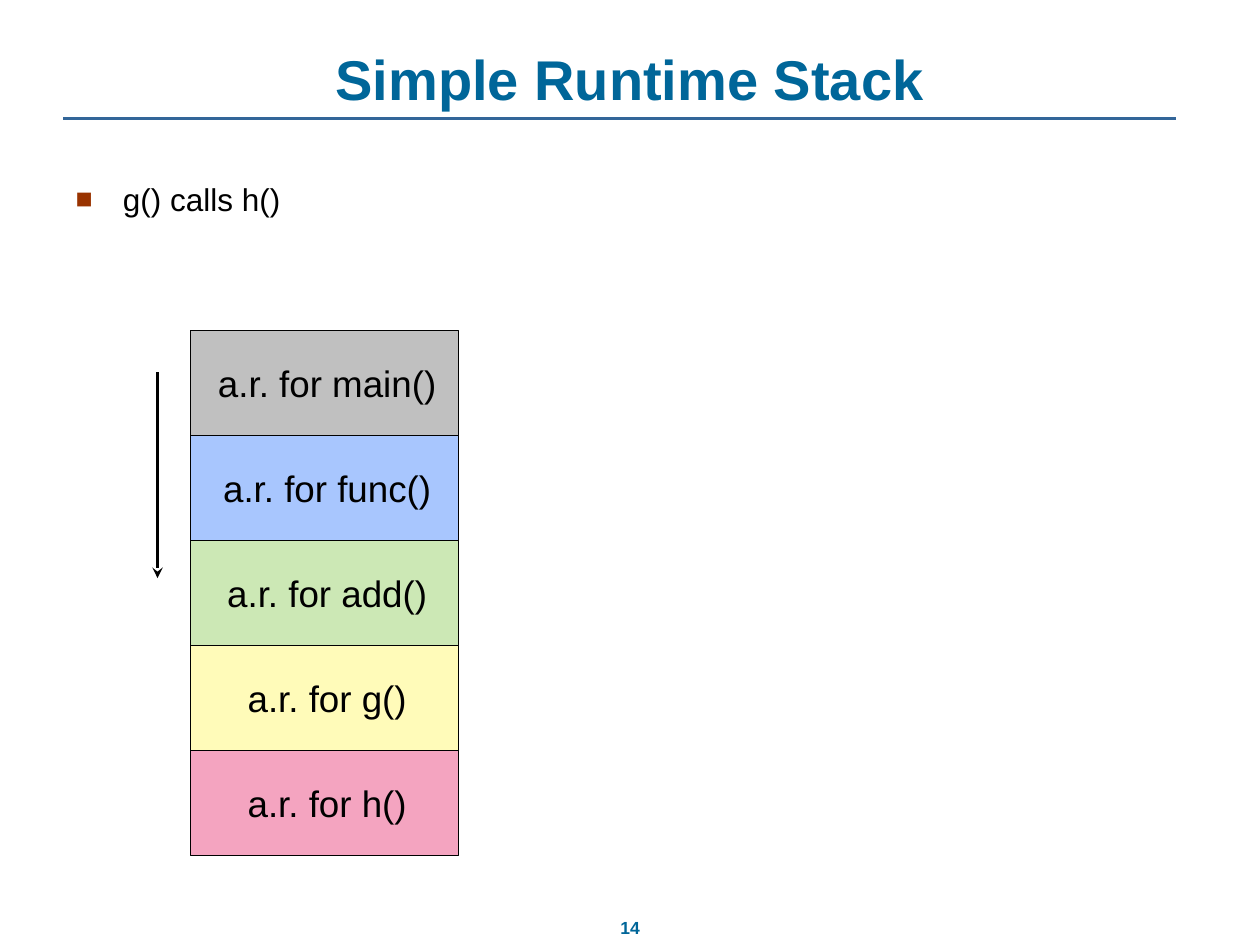
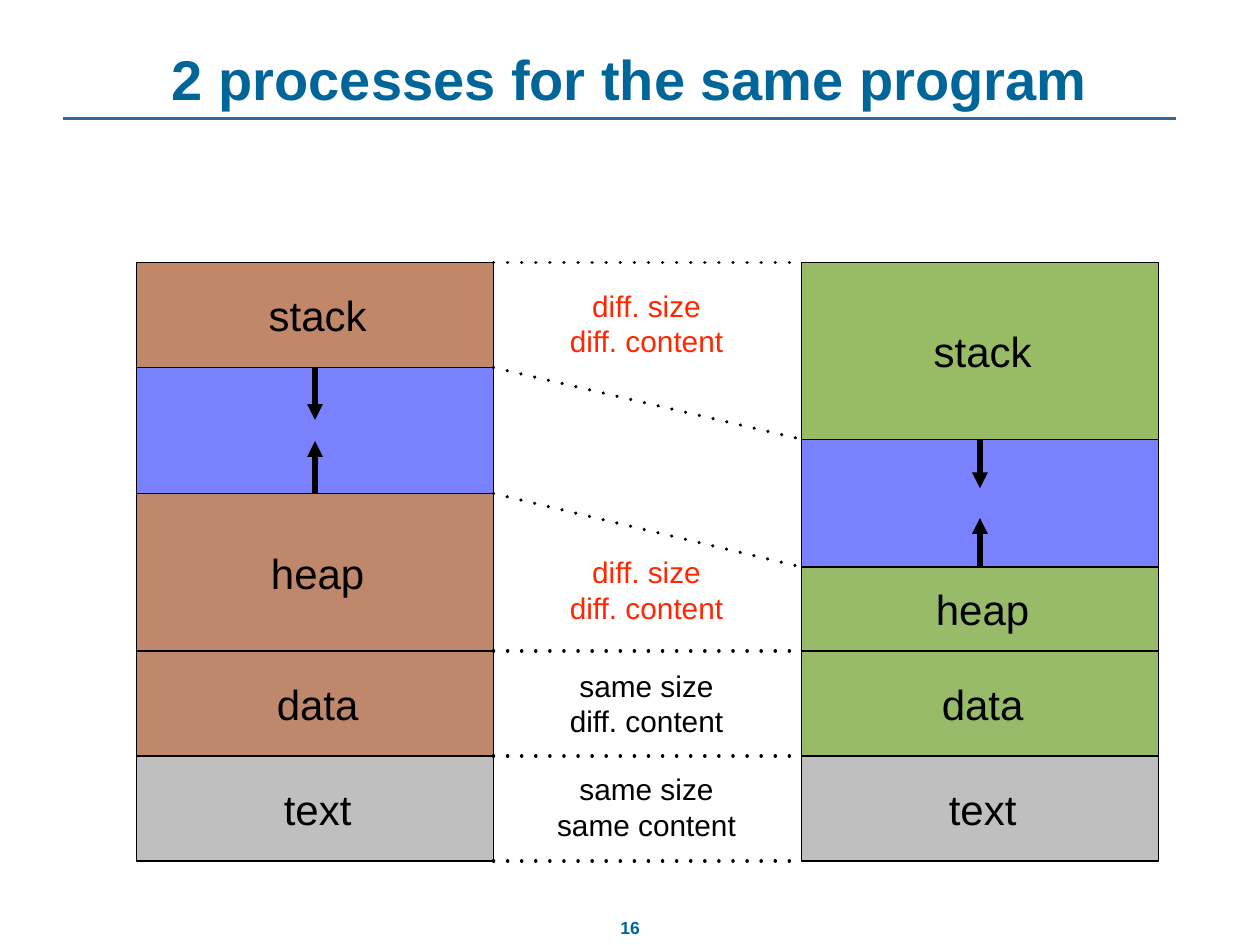
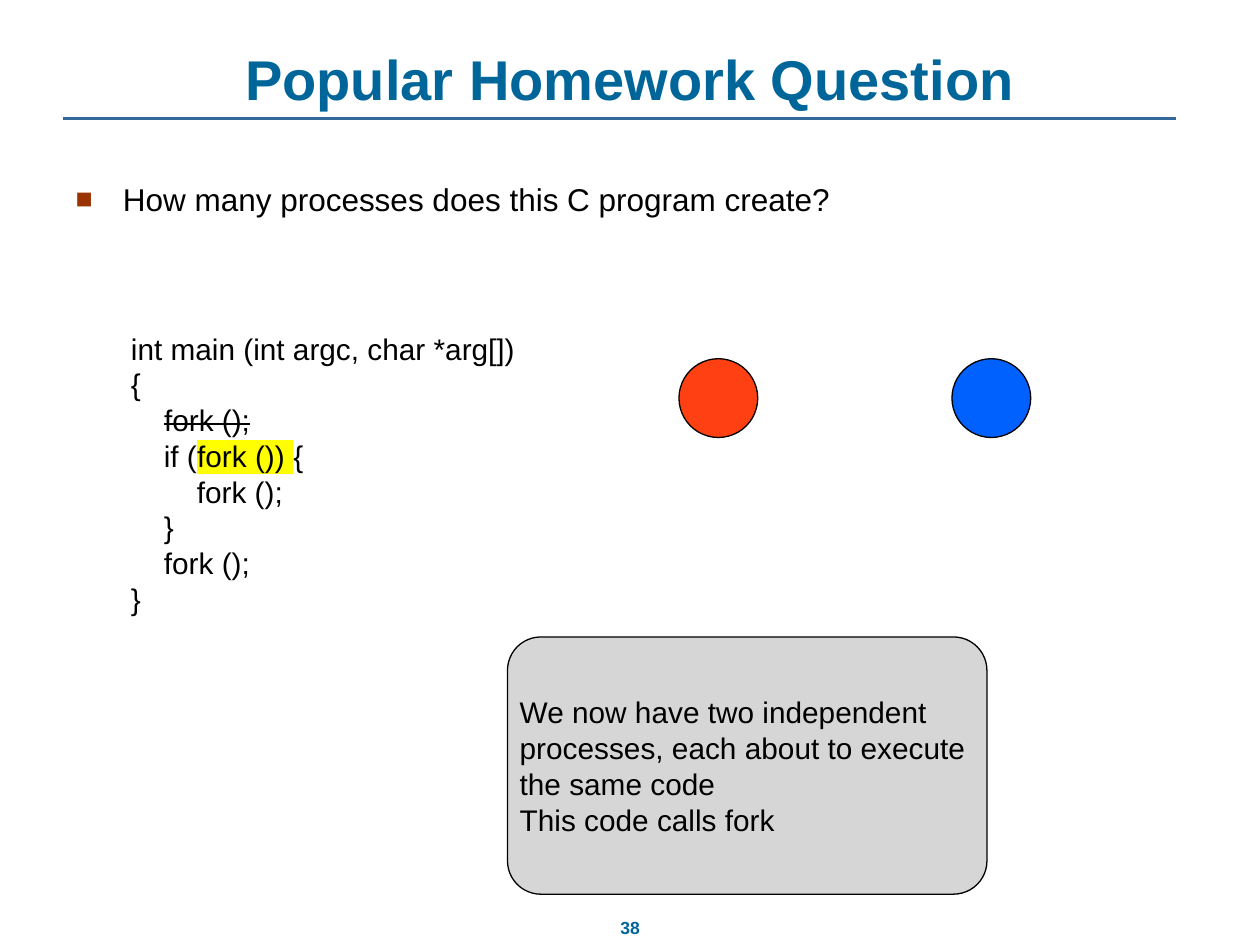
import pptx
import pptx.util
import pptx.dml.color
import pptx.enum.shapes
import pptx.enum.text
import pptx.oxml
import pptx.oxml.ns
import lxml.etree

Pt = pptx.util.Pt
RGB = pptx.dml.color.RGBColor
SHAPE = pptx.enum.shapes.MSO_SHAPE
ANCHOR = pptx.enum.text.MSO_ANCHOR
ALIGN = pptx.enum.text.PP_ALIGN
qn = pptx.oxml.ns.qn

# Colours
BLACK = RGB(0x00, 0x00, 0x00)
TITLE_BLUE = RGB(0x00, 0x66, 0x99)
RULE_BLUE = RGB(0x33, 0x66, 0x99)
BULLET_RED = RGB(0x99, 0x33, 0x00)
NOTE_RED = RGB(0xFF, 0x26, 0x00)
MARKER = RGB(0xFF, 0xFF, 0x00)
MAIN_GREY = RGB(0xC0, 0xC0, 0xC0)
FUNC_BLUE = RGB(0xA8, 0xC6, 0xFE)
ADD_GREEN = RGB(0xCC, 0xE8, 0xB5)
G_YELLOW = RGB(0xFF, 0xFB, 0xB9)
H_PINK = RGB(0xF4, 0xA4, 0xC0)
FREE_BLUE = RGB(0x7A, 0x81, 0xFF)
TEXT_GREY = RGB(0xBF, 0xBF, 0xBF)
STACK_BROWN = RGB(0xC1, 0x87, 0x69)
HEAP_BROWN = RGB(0xBF, 0x87, 0x6B)
STACK_GREEN = RGB(0x97, 0xBC, 0x65)
HEAP_GREEN = RGB(0x98, 0xBB, 0x69)
PROCESS_RED = RGB(0xFF, 0x40, 0x13)
PROCESS_BLUE = RGB(0x00, 0x61, 0xFF)
CALLOUT_GREY = RGB(0xD6, 0xD6, 0xD6)

MARGINS = dict(margin_left=Pt(4.3), margin_right=Pt(4.3),
               margin_top=Pt(4.3), margin_bottom=Pt(4.3))
TITLE_BOX = (36, 22.3, 648, 45.4)
BODY_BOX = (36, 99.4, 648, 356.4)
PAGE_BOX = (346.3, 520.6, 27.4, 19.4)


# Shared helpers
def apply(obj, values):
    for name, value in values.items():
        setattr(obj, name, value)


def pts(*lengths):
    return [Pt(v) for v in lengths]


def place(sp, box):
    apply(sp, dict(zip(("left", "top", "width", "height"), pts(*box))))


def add_run(p, text, size, color=BLACK, bold=False):
    r = p.add_run()
    r.text = text
    apply(r.font, dict(size=Pt(size), bold=bold, name="Arial"))
    r.font.color.rgb = color
    return r


def write(tf, lines, size, color=BLACK, align=ALIGN.LEFT, indent=0, bold=False):
    for i, line in enumerate(lines):
        p = tf.add_paragraph() if i else tf.paragraphs[0]
        p.alignment = align
        if indent:
            p._p.get_or_add_pPr().set("marL", str(Pt(indent)))
        add_run(p, line, size, color, bold)


def add_box(s, kind, box, fill, lines=(), size=24, **text):
    sp = s.shapes.add_shape(kind, *pts(*box))
    sp.shadow.inherit = False
    sp.fill.solid()
    sp.fill.fore_color.rgb = fill
    sp.line.color.rgb = BLACK
    sp.line.width = Pt(0.75)
    if lines:
        apply(sp.text_frame, dict(MARGINS, word_wrap=True,
                                  vertical_anchor=ANCHOR.MIDDLE))
        write(sp.text_frame, lines, size, **text)
    return sp


def add_textbox(s, box, wrap):
    tf = s.shapes.add_textbox(*pts(*box)).text_frame
    apply(tf, dict(MARGINS, word_wrap=wrap))
    return tf


def add_line(s, start, end, width, color=BLACK, tail=None, dotted=False):
    c = s.shapes.add_connector(pptx.enum.shapes.MSO_CONNECTOR.STRAIGHT,
                               *pts(*start, *end))
    c.line.color.rgb = color
    c.line.width = Pt(width)
    ln = c.line._get_or_add_ln()
    if dotted:
        ln.set("cap", "rnd")
        lxml.etree.SubElement(ln, qn("a:prstDash"), val="dot")
    if tail:
        lxml.etree.SubElement(ln, qn("a:tailEnd"), type=tail)
    lxml.etree.SubElement(c._element.spPr, qn("a:effectLst"))
    return c


def add_slide(prs, title, page, bullet=None):
    s = prs.slides.add_slide(prs.slide_layouts[1 if bullet else 5])
    add_line(s, (36, 67.7), (672, 67.7), 1.5, RULE_BLUE)

    # Page number
    tf = s.shapes.add_textbox(*pts(*PAGE_BOX)).text_frame
    tf.word_wrap = False
    write(tf, [page], 10, TITLE_BLUE, ALIGN.CENTER, bold=True)

    # Title
    place(s.shapes.title, TITLE_BOX)
    tf = s.shapes.title.text_frame
    apply(tf, dict(vertical_anchor=ANCHOR.BOTTOM, word_wrap=True,
                   auto_size=pptx.enum.text.MSO_AUTO_SIZE.NONE))
    write(tf, [title], 32, TITLE_BLUE, ALIGN.CENTER, bold=True)

    # Bullet
    if bullet:
        add_bullet(s.placeholders[1], bullet)
    return s


def add_bullet(body, text):
    place(body, BODY_BOX)
    p = body.text_frame.paragraphs[0]
    p.space_before = Pt(0)
    pPr = p._p.get_or_add_pPr()
    pPr.set("marL", str(Pt(27)))
    pPr.set("indent", str(Pt(-27)))
    color = lxml.etree.SubElement(pPr, qn("a:buClr"))
    lxml.etree.SubElement(color, qn("a:srgbClr"), val=str(BULLET_RED))
    lxml.etree.SubElement(pPr, qn("a:buSzPct"), val="90000")
    lxml.etree.SubElement(pPr, qn("a:buFont"), typeface="Arial")
    lxml.etree.SubElement(pPr, qn("a:buChar"), char="■")
    add_run(p, text, 18)


# Runtime stack slide
def draw_records(s, box, records):
    x, y, w, h = box
    step = h / len(records)
    for i, (name, fill) in enumerate(records):
        add_box(s, SHAPE.RECTANGLE, (x, y + i * step, w, step), fill,
                [f"a.r. for {name}()"], 21, align=ALIGN.CENTER, indent=3)
    add_line(s, (x - 19, y + 24), (x - 19, y + 141.5), 2, tail="stealth")


def runtime_stack(prs):
    s = add_slide(prs, "Simple Runtime Stack", "14", "g() calls h()")
    draw_records(s, (109, 188.8, 153, 300),
                 [("main", MAIN_GREY), ("func", FUNC_BLUE), ("add", ADD_GREEN),
                  ("g", G_YELLOW), ("h", H_PINK)])


# Two processes slide
DATA_TOP, TEXT_TOP = 222, 282


def draw_memory(s, box, stack_end, heap_top, free_height, reach, stack_fill, heap_fill):
    x, y, w, h = box
    add_box(s, SHAPE.RECTANGLE, (x, y + 60, w, free_height), FREE_BLUE)
    segments = [("stack", 0, stack_end, stack_fill),
                ("heap", heap_top, DATA_TOP, heap_fill),
                ("data", DATA_TOP, TEXT_TOP, heap_fill),
                ("text", TEXT_TOP, h, TEXT_GREY)]
    parts = {name: add_box(s, SHAPE.RECTANGLE, (x, y + top, w, end - top), fill,
                           [name], align=ALIGN.CENTER, indent=3)
             for name, top, end, fill in segments}

    # Growth arrows
    mid = x + w / 2
    for name, site, edge, shift in (("stack", 2, stack_end, reach),
                                    ("heap", 0, heap_top, -reach)):
        c = add_line(s, (mid, y + edge), (mid, y + edge + shift), 3, tail="triangle")
        c.begin_connect(parts[name], site)
    return [y + v for v in (0, stack_end, heap_top, DATA_TOP, TEXT_TOP, h)]


def draw_comparison(s, box, left_edges, right_edges):
    x, y, w, _ = box
    for start, end in zip(left_edges, right_edges):
        add_line(s, (x, start), (x + w, end), 2, dotted=True)
    notes = [(10, 102, NOTE_RED, ["diff. size", "diff. content"]),
             (162, 102, NOTE_RED, ["diff. size", "diff. content"]),
             (227, 102, BLACK, ["same size", "diff. content"]),
             (286, 117, BLACK, ["same size", "same content"])]
    for top, width, color, lines in notes:
        left = x + (w - width) / 2 - 2
        tf = add_textbox(s, (left, y + top, width, 49), False)
        write(tf, lines, 17, color, ALIGN.CENTER, 3)


def two_processes(prs):
    s = add_slide(prs, "2 processes for the same program", "16")
    left = draw_memory(s, (78, 150, 204, 342), 60, 132, 102, 30,
                       STACK_BROWN, HEAP_BROWN)
    right = draw_memory(s, (458, 150, 204, 342), 101, 174, 119, 28,
                        STACK_GREEN, HEAP_GREEN)
    draw_comparison(s, (282, 150, 176, 342), left, right)


# Homework slide
def draw_code(s, box):
    tf = add_textbox(s, box, True)
    write(tf, ["int main (int argc, char *arg[])", "{", "    ", "    if (",
               "        fork ();", "    }", "    fork ();", "}"], 17)
    done, current = tf.paragraphs[2:4]
    r = add_run(done, "fork ();", 17)
    r._r.get_or_add_rPr().set("strike", "sngStrike")

    r = add_run(current, "fork ()) ", 17)
    mark = lxml.etree.Element(qn("a:highlight"))
    lxml.etree.SubElement(mark, qn("a:srgbClr"), val=str(MARKER))
    r._r.rPr.find(qn("a:solidFill")).addnext(mark)
    add_run(current, "{", 17)


def draw_callout(s, box, lines):
    sp = add_box(s, SHAPE.ROUNDED_RECTANGLE, box, CALLOUT_GREY, lines, 17)
    sp.adjustments[0] = 0.13
    apply(sp.text_frame, dict(margin_left=Pt(1.4), margin_right=Pt(0)))


def homework(prs):
    s = add_slide(prs, "Popular Homework Question", "38",
                  "How many processes does this C program create?")
    draw_code(s, (70.5, 184.5, 234, 171))
    for x, fill in ((388, PROCESS_RED), (544, PROCESS_BLUE)):
        add_box(s, SHAPE.OVAL, (x, 205, 45, 45), fill)
    draw_callout(s, (290, 364, 274, 147),
                 ["We now have two independent processes, each about to "
                  "execute the same code", "This code calls fork"])


def main():
    prs = pptx.Presentation()
    prs.slide_width, prs.slide_height = pts(720, 540)
    runtime_stack(prs)
    two_processes(prs)
    homework(prs)
    prs.save("out.pptx")


if __name__ == "__main__":
    main()
